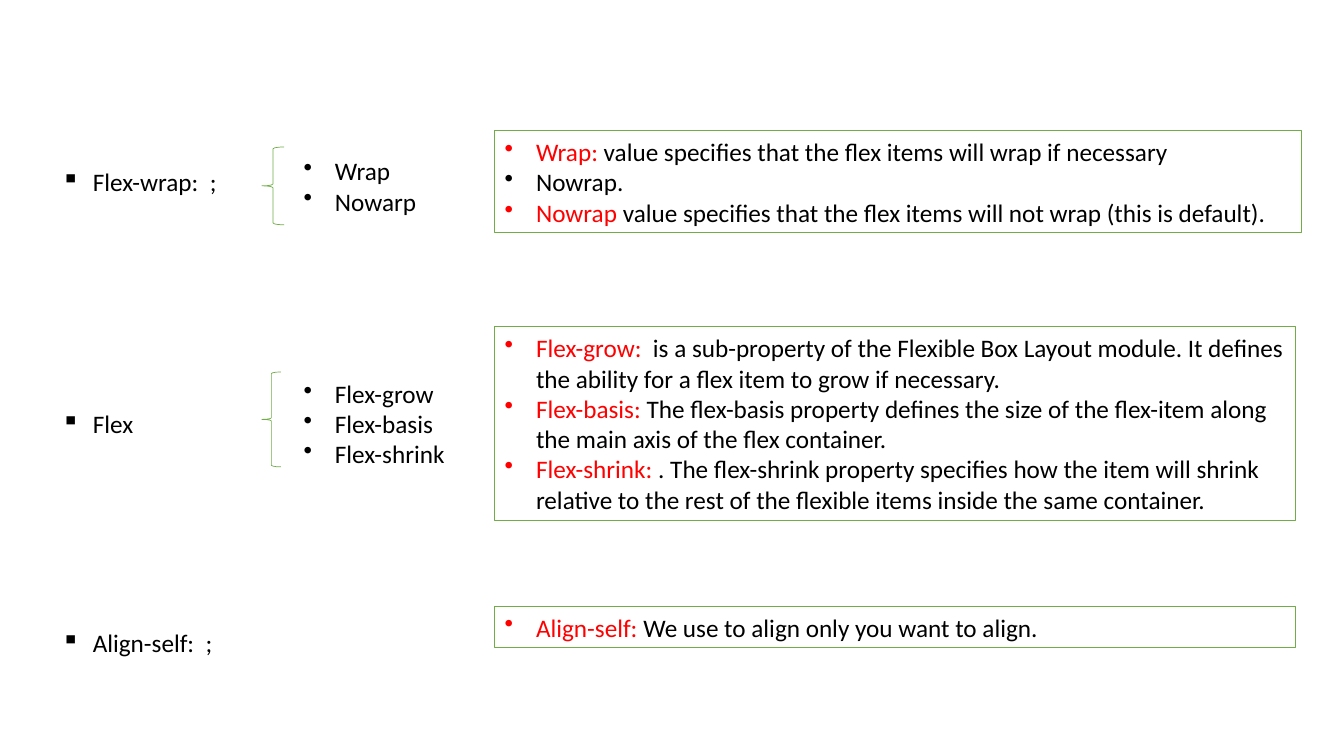
from dataclasses import dataclass

from lxml import etree
from pptx import Presentation
from pptx import util as u
from pptx.dml.color import RGBColor
from pptx.enum import shapes, text
from pptx.oxml import ns

BLACK, RED, GREEN = "000000", "FF0000", "70AD47"
SQUARE, DOT = "▪", "•"
INDENT = u.Cm(0.79)
LINE = 0.76
PADDING = 0.26


@dataclass
class Box:
    left: float
    top: float
    width: float
    height: float


def centre_in(box, offset, width, height, shift=0):
    top = box.top + (box.height - height) / 2 + shift
    return [u.Cm(size) for size in (box.left + offset, top, width, height)]


def color(value):
    return RGBColor.from_string(value)


def outline(shape, width):
    shape.shadow.inherit = False
    shape.fill.background()
    shape.line.color.rgb = color(GREEN)
    shape.line.width = u.Pt(width)


def add_bullet(para, mark):
    properties = para._p.get_or_add_pPr()
    properties.set("marL", str(INDENT))
    properties.set("indent", str(-INDENT))
    etree.SubElement(properties, ns.qn("a:buChar")).set("char", mark)


def write_list(shape, items, mark):
    frame = shape.text_frame
    frame.word_wrap = True
    frame.auto_size = text.MSO_AUTO_SIZE.SHAPE_TO_FIT_TEXT
    frame.vertical_anchor = text.MSO_ANCHOR.MIDDLE
    for index, item in enumerate(items):
        para = frame.add_paragraph() if index else frame.paragraphs[0]
        para.alignment = text.PP_ALIGN.LEFT
        add_bullet(para, mark)
        for words, tint in item:
            span = para.add_run()
            span.text = words
            span.font.name = "Calibri"
            span.font.size = u.Pt(18)
            span.font.color.rgb = color(tint)


def plain(*lines):
    return [[(line, BLACK)] for line in lines]


def term(name, meaning):
    return [(name, RED), (meaning, BLACK)]


def add_name(page, box, name, width, shift=0):
    place = centre_in(box, 0, width, LINE + PADDING, shift)
    write_list(page.shapes.add_textbox(*place), plain(name), SQUARE)


def add_values(page, box, values, width, shift=0):
    place = centre_in(box, 6.1, width, LINE * len(values) + PADDING, shift)
    write_list(page.shapes.add_textbox(*place), plain(*values), DOT)


def add_brace(page, box, width, height, shift):
    place = centre_in(box, 5.3, width, height, shift)
    brace = page.shapes.add_shape(shapes.MSO_SHAPE.LEFT_BRACE, *place)
    outline(brace, 0.5)


def add_notes(page, box, notes):
    offset = 11.17
    place = centre_in(box, offset, box.width - offset, box.height)
    panel = page.shapes.add_shape(shapes.MSO_SHAPE.RECTANGLE, *place)
    outline(panel, 0.75)
    write_list(panel, notes, DOT)


def add_wrap_row(page, box):
    add_name(page, box, "Flex-wrap:  ;", 5.79)
    add_values(page, box, ["Wrap", "Nowarp"], 4.83, 0.1)
    add_brace(page, box, 0.56, 1.96, 0.1)
    add_notes(page, box, [
        term("Wrap: ", "value specifies that the flex items will wrap if necessary"),
        [("Nowrap.", BLACK)],
        term("Nowrap ", "value specifies that the flex items will not wrap (this is default)."),
    ])


def add_flex_row(page, box):
    add_name(page, box, "Flex", 3.3)
    add_values(page, box, ["Flex-grow", "Flex-basis", "Flex-shrink"], 5.49)
    add_brace(page, box, 0.48, 2.39, -0.1)
    add_notes(page, box, [
        term("Flex-grow:  ", "is a sub-property of the Flexible Box Layout module. "
             "It defines the ability for a flex item to grow if necessary."),
        term("Flex-basis: ", "The flex-basis property defines the size of the "
             "flex-item along the main axis of the flex container."),
        term("Flex-shrink: ", ". The flex-shrink property specifies how the item will "
             "shrink relative to the rest of the flexible items inside the same container."),
    ])


def add_align_row(page, box):
    add_name(page, box, "Align-self:  ;", 5.79, 0.38)
    add_notes(page, box, [term("Align-self: ", "We use to align only you want to align.")])


deck = Presentation()
deck.slide_width = u.Cm(33.87)
deck.slide_height = u.Cm(19.05)
page = deck.slides.add_slide(deck.slide_layouts[6])
add_wrap_row(page, Box(1.3, 3.3, 31.49, 2.57))
add_flex_row(page, Box(1.3, 8.23, 31.34, 4.88))
add_align_row(page, Box(1.3, 15.29, 31.34, 1.02))
deck.save("out.pptx")
